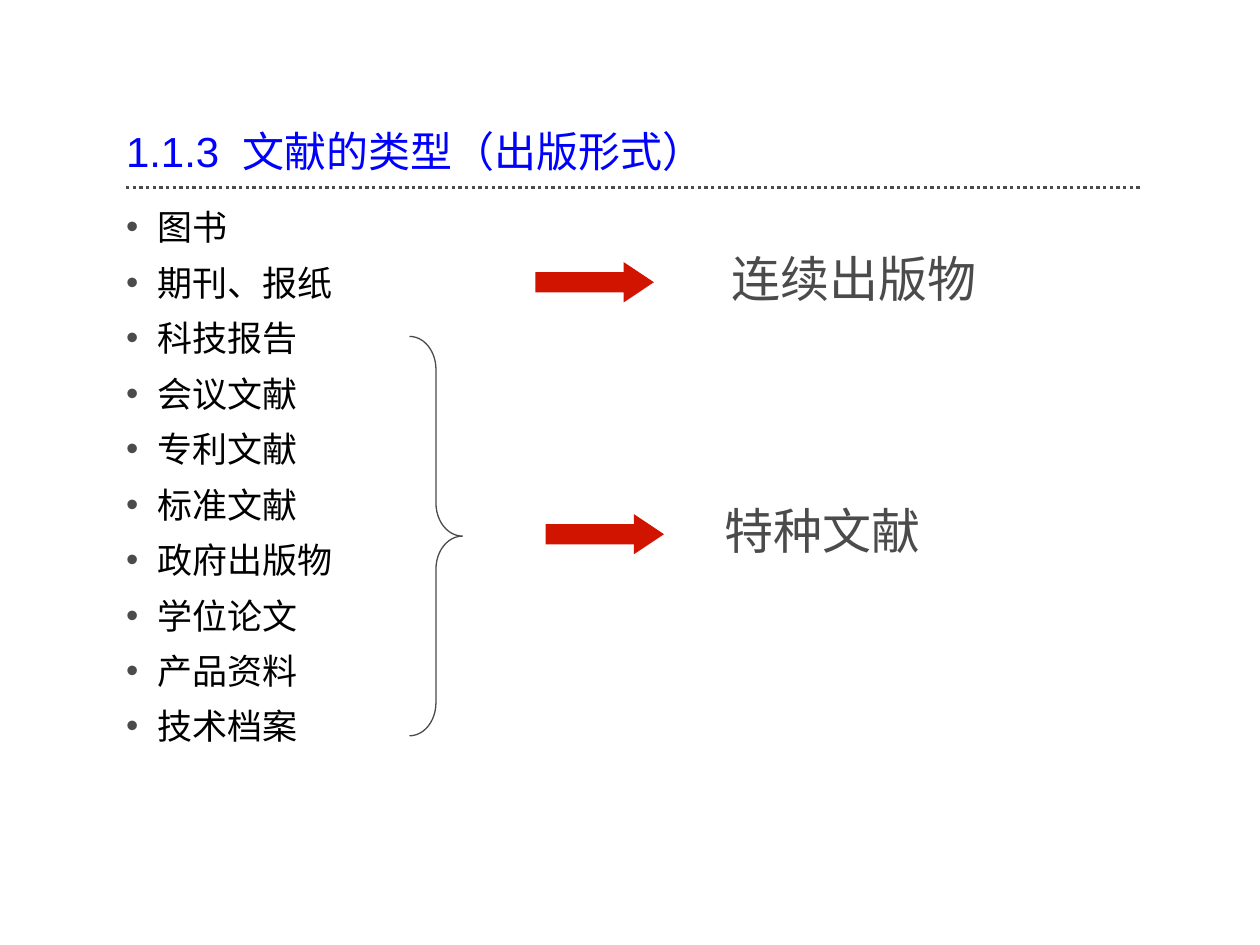
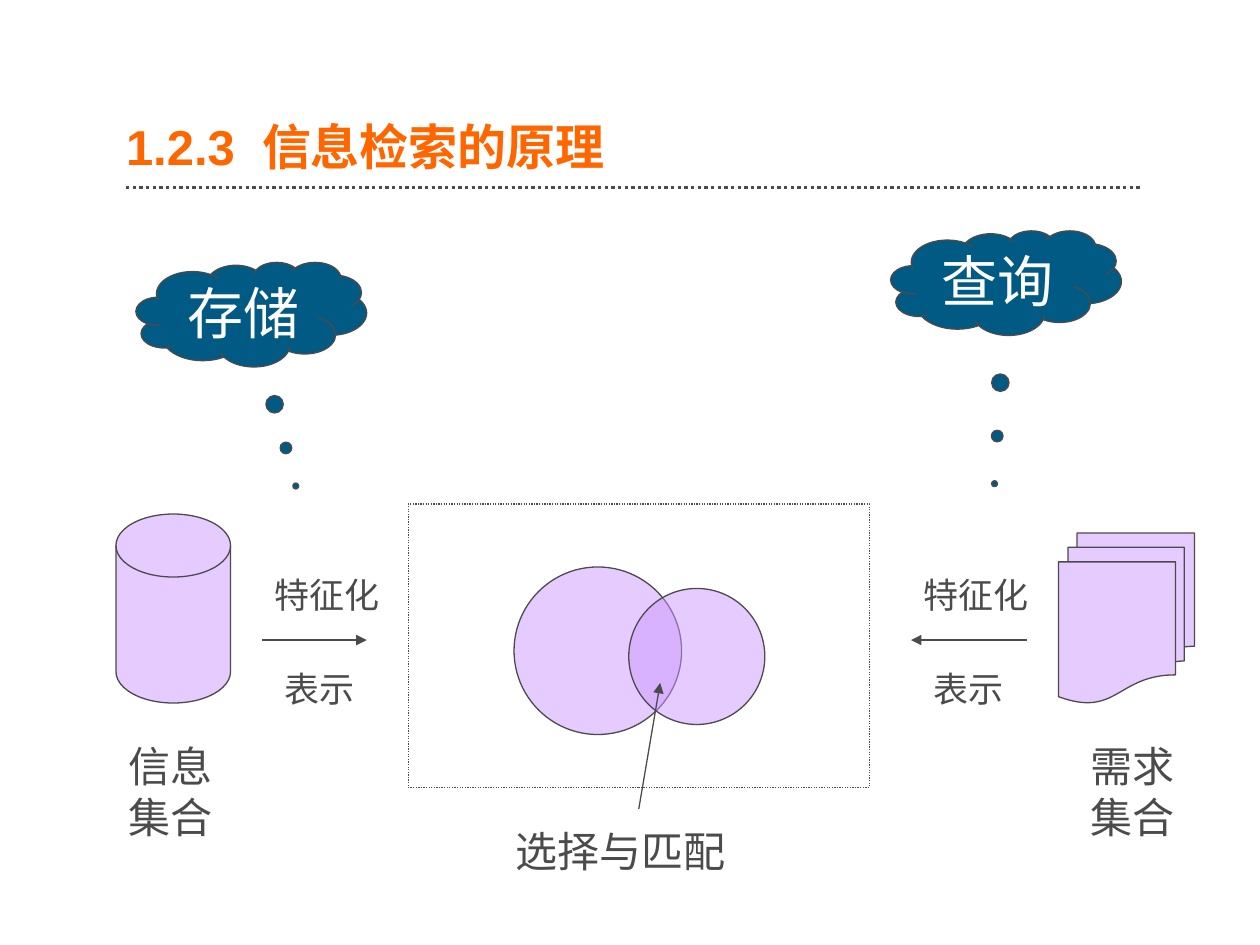
from dataclasses import dataclass

from lxml import etree
from pptx import Presentation
from pptx.dml.color import RGBColor
from pptx.enum.dml import MSO_LINE
from pptx.enum.shapes import MSO_CONNECTOR, MSO_SHAPE
from pptx.enum.text import MSO_ANCHOR, MSO_AUTO_SIZE, PP_ALIGN
from pptx.oxml.ns import qn
from pptx.util import Inches, Pt

STRAIGHT = MSO_CONNECTOR.STRAIGHT
DOTTED = MSO_LINE.ROUND_DOT
ARROW = MSO_SHAPE.RIGHT_ARROW
BRACE = MSO_SHAPE.RIGHT_BRACE
RECTANGLE = MSO_SHAPE.RECTANGLE
OVAL = MSO_SHAPE.OVAL
DISK = MSO_SHAPE.FLOWCHART_MAGNETIC_DISK
DOCUMENTS = MSO_SHAPE.FLOWCHART_MULTIDOCUMENT
CLOUD = MSO_SHAPE.CLOUD_CALLOUT
LEFT, CENTER = PP_ALIGN.LEFT, PP_ALIGN.CENTER
TOP, MIDDLE, BOTTOM = MSO_ANCHOR.TOP, MSO_ANCHOR.MIDDLE, MSO_ANCHOR.BOTTOM
NO_FIT = MSO_AUTO_SIZE.NONE
TITLE_AND_BODY, TITLE_ONLY = 1, 5


@dataclass(frozen=True)
class Theme:
    ink: str = "4B4B4B"
    black: str = "000000"
    white: str = "FFFFFF"
    blue: str = "0000FF"
    orange: str = "FF6600"
    red: str = "D01400"
    lilac: str = "CC99FF"
    teal: str = "005A84"
    sans: str = "Arial"
    serif: str = "Times New Roman"
    mono: str = "Noto Sans Mono"
    chinese: str = "Noto Sans CJK SC"
    small: int = 20
    medium: int = 24
    large: int = 28
    huge: int = 32
    hairline: float = 0.75
    rule: float = 1.9


THEME = Theme()
NO_INSETS = (0, 0, 0, 0)
TEXT_INSETS = (0.1, 0.05, 0.1, 0.05)

LITERATURE_TYPES = [
    "图书", "期刊、报纸", "科技报告", "会议文献", "专利文献",
    "标准文献", "政府出版物", "学位论文", "产品资料", "技术档案",
]


def rgb(color):
    return RGBColor.from_string(color)


def inches(*lengths):
    return [Inches(length) for length in lengths]


def set_frame(frame, insets, anchor=TOP):
    frame.word_wrap = True
    frame.auto_size = NO_FIT
    frame.vertical_anchor = anchor
    (frame.margin_left, frame.margin_top,
     frame.margin_right, frame.margin_bottom) = inches(*insets)


def add_run(paragraph, text, size, font, color, bold=False):
    """Add formatted text; Chinese characters stay sans serif in every font."""
    run = paragraph.add_run()
    run.text = text
    run.font.size = Pt(size)
    run.font.name = font
    run.font.bold = bold
    run.font.color.rgb = rgb(color)
    chinese_font = THEME.sans if font == THEME.serif else font
    latin = run.font._element.find(qn("a:latin"))
    latin.addnext(etree.Element(qn("a:ea"), typeface=chinese_font))


def place(placeholder, box):
    (placeholder.left, placeholder.top,
     placeholder.width, placeholder.height) = inches(*box)


def add_label(slide, box, text, size, font=THEME.serif, align=LEFT):
    label = slide.shapes.add_textbox(*inches(*box))
    set_frame(label.text_frame, TEXT_INSETS)
    paragraph = label.text_frame.paragraphs[0]
    paragraph.alignment = align
    add_run(paragraph, text, size, font, THEME.ink)


def add_figure(slide, kind, box, fill=None, outline=THEME.ink, alpha=None, adjust=()):
    """Add a preset shape; alpha is the opacity of its fill in percent."""
    figure = slide.shapes.add_shape(kind, *inches(*box))
    figure.shadow.inherit = False
    for index, value in enumerate(adjust):
        figure.adjustments[index] = value
    if fill:
        figure.fill.solid()
        figure.fill.fore_color.rgb = rgb(fill)
    else:
        figure.fill.background()
    if alpha:
        color = figure._element.spPr.find(qn("a:solidFill"))[0]
        etree.SubElement(color, qn("a:alpha"), val=str(alpha * 1000))
    if outline:
        figure.line.color.rgb = rgb(outline)
        figure.line.width = Pt(THEME.hairline)
    else:
        figure.line.fill.background()
    return figure


def add_line(slide, start, end, width=THEME.hairline, arrow=True):
    line = slide.shapes.add_connector(STRAIGHT, *inches(*start, *end))
    line.line.color.rgb = rgb(THEME.ink)
    line.line.width = Pt(width)
    if arrow:
        etree.SubElement(line.line._get_or_add_ln(), qn("a:tailEnd"), type="triangle")
    etree.SubElement(line._element.spPr, qn("a:effectLst"))
    return line


def add_header(slide, text, size, color, bold=False):
    """Title over the dotted rule that both slides share."""
    left, top, width, height = 1, 0.91, 8.06, 0.49
    title = slide.shapes.title
    place(title, (left, top, width, height))
    set_frame(title.text_frame, NO_INSETS, BOTTOM)
    paragraph = title.text_frame.paragraphs[0]
    paragraph.alignment = LEFT
    paragraph.line_spacing = 0.9
    add_run(paragraph, text, size, THEME.sans, color, bold)
    rule_y = top + 0.58
    rule = add_line(slide, (left, rule_y), (left + width, rule_y), THEME.rule, arrow=False)
    rule.line.dash_style = DOTTED


def set_bullet(paragraph):
    properties = paragraph._p.get_or_add_pPr()
    properties.set("marL", str(Inches(0.25)))
    properties.set("indent", str(-Inches(0.25)))
    color = etree.SubElement(properties, qn("a:buClr"))
    etree.SubElement(color, qn("a:srgbClr"), val=THEME.ink)
    etree.SubElement(properties, qn("a:buChar"), char="•")


def fill_type_list(body, box):
    place(body, box)
    frame = body.text_frame
    set_frame(frame, (0, 0, 0.2, 0))
    for index, literature_type in enumerate(LITERATURE_TYPES):
        paragraph = frame.add_paragraph() if index else frame.paragraphs[0]
        paragraph.line_spacing = Pt(19.2)
        paragraph.space_before = Pt(12.5)
        set_bullet(paragraph)
        add_run(paragraph, literature_type, THEME.small, THEME.chinese, THEME.black)


def add_category(slide, left, top, name, name_offset, name_width):
    """Red arrow leading to the name of a group of publications."""
    add_figure(slide, ARROW, (left, top, 0.94, 0.32), THEME.red, None, adjust=(0.5, 0.748))
    add_label(slide, (left + name_offset, top - 0.16, name_width, 0.57),
              name, THEME.large, THEME.sans, CENTER)


def build_types_slide(deck):
    slide = deck.slides.add_slide(deck.slide_layouts[TITLE_AND_BODY])
    add_header(slide, "1.1.3  文献的类型（出版形式）", THEME.medium, THEME.blue)
    fill_type_list(slide.placeholders[1], (1, 1.7, 7.15, 5.2))
    add_category(slide, 4.25, 2.08, "连续出版物", 1.42, 2.21)
    add_category(slide, 4.33, 4.08, "特种文献", 1.25, 1.89)
    add_figure(slide, BRACE, (3.25, 2.67, 0.42, 3.17), adjust=(0.625, 0.5))


def add_collection(slide, kind, box, caption, caption_left):
    left, top, width, height = box
    add_figure(slide, kind, box, THEME.lilac, alpha=50)
    add_label(slide, (caption_left, top + height + 0.25, 0.91, 0.9), caption, THEME.medium)


def add_representation(slide, left, start, end):
    """Two words around an arrow; start and end are offsets from left."""
    top = 4.5
    arrow_y = top + 0.58
    add_label(slide, (left, top, 1.08, 0.44), "特征化", THEME.small)
    add_label(slide, (left + 0.08, top + 0.75, 0.91, 0.44), "表示", THEME.small)
    add_line(slide, (left + start, arrow_y), (left + end, arrow_y))


def add_matching(slide, left, top):
    """Dotted frame with the overlap of both collections."""
    add_figure(slide, RECTANGLE, (left, top, 3.66, 2.25), THEME.white,
               alpha=50).line.dash_style = DOTTED
    for x, y, diameter in ((0.84, 0.5, 1.33), (1.75, 0.67, 1.08)):
        add_figure(slide, OVAL, (left + x, top + y, diameter, diameter),
                   THEME.lilac, alpha=50)
    add_line(slide, (left + 1.83, top + 2.42), (left + 2, top + 1.42))
    add_label(slide, (left + 0.75, top + 2.5, 2.24, 0.5), "选择与匹配", THEME.medium)


def add_thought(slide, left, top, text, pointer):
    """Cloud whose word stays on one line inside it."""
    cloud = add_figure(slide, CLOUD, (left, top, 1.83, 0.83), THEME.teal, adjust=pointer)
    set_frame(cloud.text_frame, NO_INSETS, MIDDLE)
    paragraph = cloud.text_frame.paragraphs[0]
    paragraph.alignment = CENTER
    add_run(paragraph, text, THEME.huge, THEME.mono, THEME.white)


def build_retrieval_slide(deck):
    slide = deck.slides.add_slide(deck.slide_layouts[TITLE_ONLY])
    add_header(slide, "1.2.3  信息检索的原理", THEME.large, THEME.orange, bold=True)
    add_matching(slide, 3.24, 4)
    add_collection(slide, DISK, (0.92, 4.08, 0.91, 1.5), "信息集合", 0.92)
    add_collection(slide, DOCUMENTS, (8.4, 4.23, 1.08, 1.35), "需求集合", 8.56)
    add_representation(slide, 2.08, 0, 0.83)
    add_representation(slide, 7.23, 0.92, 0)
    add_thought(slide, 1.08, 2.08, "存储", (0.193, 1.642))
    add_thought(slide, 7.07, 1.83, "查询", (-0.05, 1.921))


def main():
    deck = Presentation()
    deck.slide_width, deck.slide_height = inches(10, 7.5)
    build_types_slide(deck)
    build_retrieval_slide(deck)
    deck.save("out.pptx")


if __name__ == "__main__":
    main()
